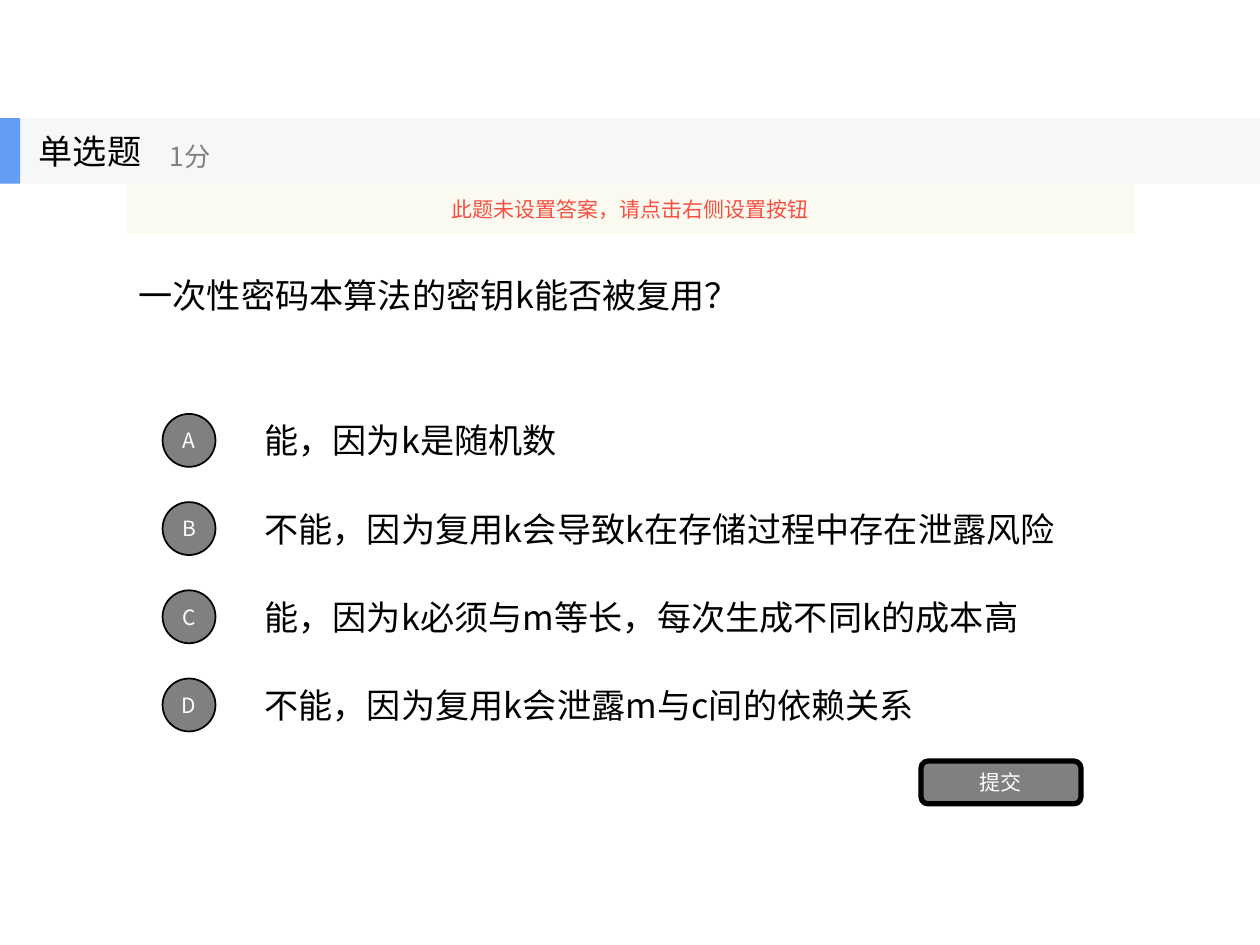
from lxml import etree
from pptx import Presentation
from pptx.dml.color import RGBColor
from pptx.enum.shapes import MSO_SHAPE
from pptx.enum.text import MSO_ANCHOR, MSO_AUTO_SIZE, PP_ALIGN
from pptx.oxml.ns import qn
from pptx.util import Inches, Pt

RECT, OVAL, ROUND = MSO_SHAPE.RECTANGLE, MSO_SHAPE.OVAL, MSO_SHAPE.ROUNDED_RECTANGLE
LEFT, MID = PP_ALIGN.LEFT, PP_ALIGN.CENTER
FONT = "Noto Sans CJK SC"
HUE = {"black": "000000", "white": "FFFFFF", "grey": "808080", "bar": "F6F7F8",
       "blue": "639EF4", "cream": "FBFAEF", "red": "F84F41"}

KIND, SCORE = "单选题", "1分"
HINT = "此题未设置答案，请点击右侧设置按钮"
QUERY = "一次性密码本算法的密钥k能否被复用？"
CHOICES = [
    ("A", "能，因为k是随机数"),
    ("B", "不能，因为复用k会导致k在存储过程中存在泄露风险"),
    ("C", "能，因为k必须与m等长，每次生成不同k的成本高"),
    ("D", "不能，因为复用k会泄露m与c间的依赖关系"),
]
SEND = "提交"

# The slide is ten columns wide, one inch each.
COL = 1
WIDE, HIGH = 10 * COL, 7.5
BAR, BAR_H = HIGH / 8, 0.52
BODY = BAR + BAR_H
ROW, PITCH, ROW_H = 3.23, 0.7, 0.53
DOT = 0.42


def box(x, y, w, h):
    return [Inches(v) for v in (x, y, w, h)]


def write(shape, text, size=19.5, hue="black", align=LEFT, wrap=True, pad=(0.1, 0.05)):
    frame = shape.text_frame
    frame.auto_size = MSO_AUTO_SIZE.NONE
    frame.word_wrap = wrap
    frame.vertical_anchor = MSO_ANCHOR.MIDDLE
    frame.margin_left = frame.margin_right = Inches(pad[0])
    frame.margin_top = frame.margin_bottom = Inches(pad[1])
    para = frame.paragraphs[0]
    para.alignment = align
    run = para.add_run()
    run.text = text
    run.font.size = Pt(size)
    run.font.name = FONT
    run.font.color.rgb = RGBColor.from_string(HUE[hue])
    east = etree.SubElement(run.font._element, qn("a:ea"))
    east.set("typeface", FONT)


def label(slide, place, text, **form):
    write(slide.shapes.add_textbox(*box(*place)), text, **form)


def block(slide, kind, place, fill, line=0):
    shape = slide.shapes.add_shape(kind, *box(*place))
    shape.shadow.inherit = False
    shape.fill.solid()
    shape.fill.fore_color.rgb = RGBColor.from_string(HUE[fill])
    if line:
        shape.line.color.rgb = RGBColor.from_string(HUE["black"])
        shape.line.width = Pt(line)
    else:
        shape.line.fill.background()
    return shape


def button(slide, kind, place, text, line):
    shape = block(slide, kind, place, "grey", line)
    write(shape, text, size=12, hue="white", align=MID, wrap=False, pad=(0.07, 0.04))


def fade(shape, share):
    """Set the opacity of a solid fill."""
    tint = shape._element.spPr.find(qn("a:solidFill"))[0]
    etree.SubElement(tint, qn("a:alpha")).set("val", str(share * 1000))


def main():
    deck = Presentation()
    deck.slide_width, deck.slide_height = Inches(WIDE), Inches(HIGH)
    slide = deck.slides.add_slide(deck.slide_layouts[5])

    title = slide.shapes.title
    title.left, title.top, title.width, title.height = box(COL, BODY, 8 * COL, 1.76)
    write(title, QUERY)

    for i, (mark, text) in enumerate(CHOICES):
        top = ROW + i * PITCH
        label(slide, (2 * COL, top, 7 * COL, ROW_H), text)
        spot = (1.5 * COL - DOT / 2, top + (ROW_H - DOT) / 2, DOT, DOT)
        button(slide, OVAL, spot, mark, 1)
    button(slide, ROUND, (7.31, 6.04, 1.27, 0.34), SEND, 3)

    block(slide, RECT, (0, BAR, WIDE, BAR_H), "bar")
    block(slide, RECT, (0, BAR, 0.16, BAR_H), "blue")
    label(slide, (0.21, BAR, 1.56, BAR_H), KIND)
    label(slide, (1.25, 1.03, 1.88, 0.42), SCORE, size=15, hue="grey")

    banner = block(slide, RECT, (COL, BODY, 8 * COL, 0.4), "cream")
    fade(banner, 90)
    write(banner, HINT, size=12, hue="red", align=MID, wrap=False)

    deck.save("out.pptx")


if __name__ == "__main__":
    main()
